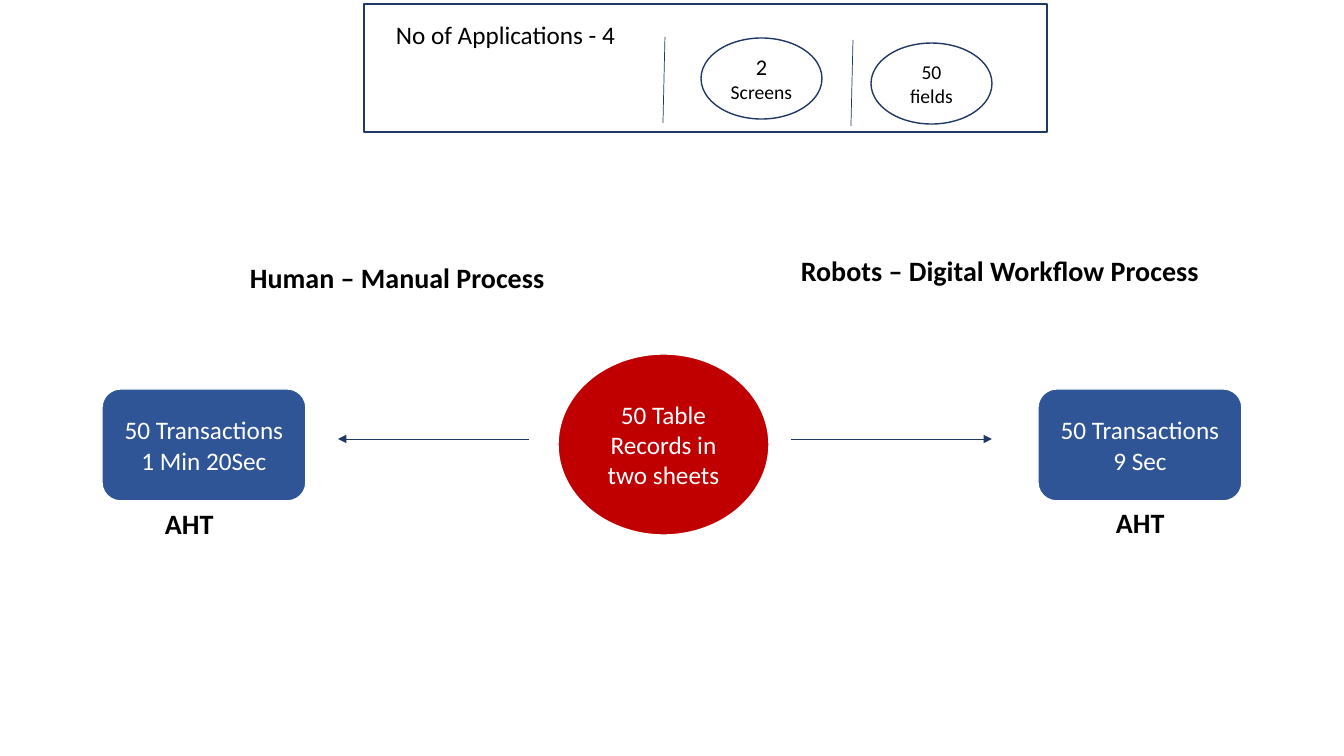
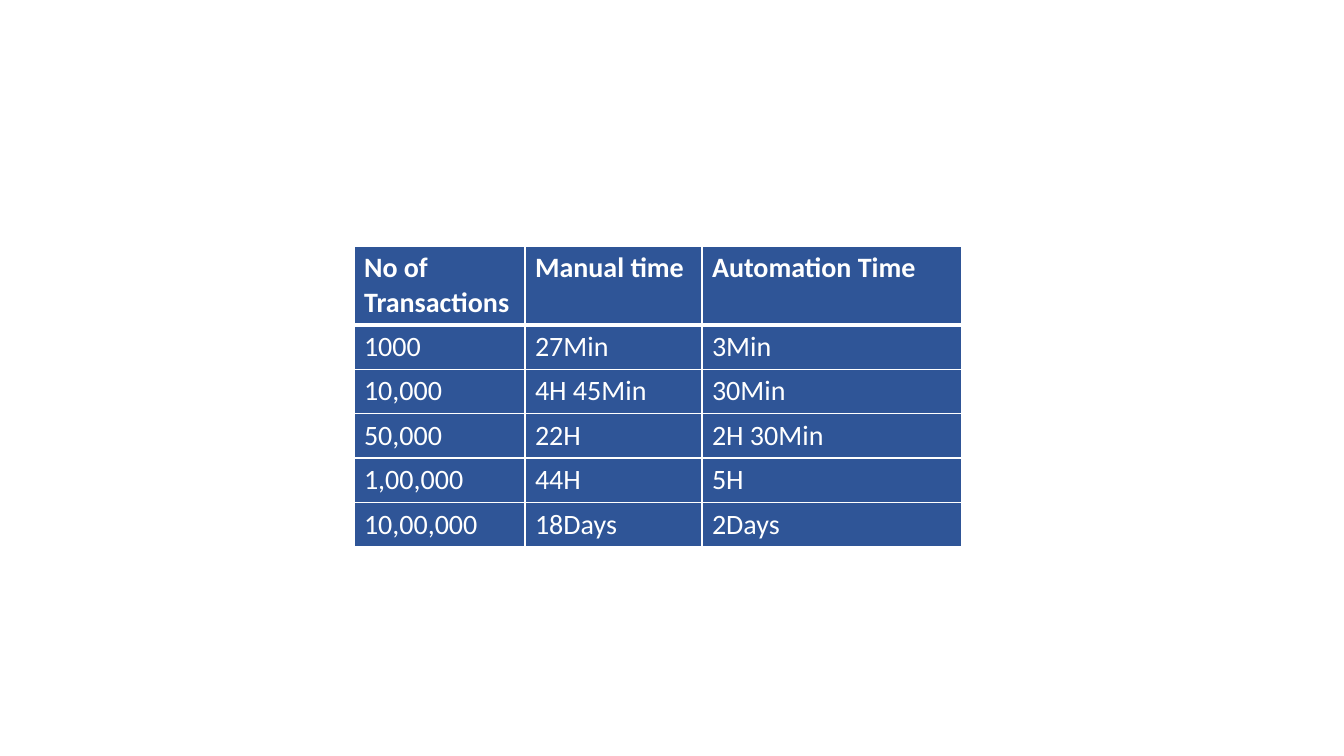
from lxml import etree
from pptx import Presentation
from pptx.dml.color import RGBColor
from pptx.enum.shapes import MSO_CONNECTOR, MSO_SHAPE
from pptx.enum.text import MSO_ANCHOR, PP_ALIGN
from pptx.oxml.ns import qn
from pptx.util import Emu, Pt

OVAL, ROUNDED, RECTANGLE = MSO_SHAPE.OVAL, MSO_SHAPE.ROUNDED_RECTANGLE, MSO_SHAPE.RECTANGLE
STRAIGHT = MSO_CONNECTOR.STRAIGHT
CENTER, MIDDLE = PP_ALIGN.CENTER, MSO_ANCHOR.MIDDLE

FONT = "Calibri"
WHITE, BLACK, NAVY, BLUE, RED = "FFFFFF", "000000", "203864", "2F5597", "C00000"
PIXEL = 914400 / 100.8


def px(*lengths):
    """Turn pixel lengths into a list of EMU lengths."""
    return [Emu(round(length * PIXEL)) for length in lengths]


def write(frame, text, size, color, bold=False, align=None):
    """Fill a text frame and format all of its runs."""
    frame.word_wrap = True
    frame.text = text
    for para in frame.paragraphs:
        para.alignment = align
        for span in para.runs:
            span.font.name = FONT
            span.font.size = Pt(size)
            span.font.bold = bold
            span.font.color.rgb = RGBColor.from_string(color)


deck = Presentation()
deck.slide_width, deck.slide_height = px(1344, 756)
blank = deck.slide_layouts[6]

# Slide 1: manual process against digital workflow
page = deck.slides.add_slide(blank)

shapes = [
    (RECTANGLE, (364, 4, 683, 128), WHITE, NAVY, "", 18, BLACK),
    (OVAL, (558, 354, 211, 181), RED, WHITE, "50 Table Records in two sheets", 18, WHITE),
    (ROUNDED, (1038, 389, 204, 112), BLUE, WHITE, "50 Transactions\v9 Sec", 18, WHITE),
    (ROUNDED, (102, 389, 204, 112), BLUE, WHITE, "50 Transactions\v1 Min 20Sec", 18, WHITE),
    (OVAL, (871, 43, 121, 81), None, NAVY, "50 fields", 14, BLACK),
    (OVAL, (701, 38, 121, 81), None, NAVY, "2 Screens", 14, BLACK),
]
for kind, area, fill, outline, text, size, color in shapes:
    shape = page.shapes.add_shape(kind, *px(*area))
    shape.shadow.inherit = False
    if fill:
        shape.fill.solid()
        shape.fill.fore_color.rgb = RGBColor.from_string(fill)
    else:
        shape.fill.background()
    shape.line.color.rgb = RGBColor.from_string(outline)
    shape.line.width = Pt(1)
    if text:
        shape.text_frame.vertical_anchor = MIDDLE
        write(shape.text_frame, text, size, color, align=CENTER)

# The screen count is larger than its unit
screens = shape.text_frame.paragraphs[0]
count = screens.runs[0]
count.text = "2 "
count.font.size = Pt(16)
unit = screens.add_run()
unit.text = "Screens"
unit.font.name = FONT
unit.font.size = Pt(14)
unit.font.color.rgb = RGBColor.from_string(BLACK)

labels = [
    ((386, 14, 267, 40), "No of Applications - 4", 18, False),
    ((240, 256, 339, 44), "Human – Manual Process", 20, True),
    ((791, 249, 422, 44), "Robots – Digital Workflow Process", 20, True),
    ((155, 502, 105, 44), "AHT", 20, True),
    ((1106, 501, 105, 44), "AHT", 20, True),
]
for area, text, size, bold in labels:
    box = page.shapes.add_textbox(*px(*area))
    write(box.text_frame, text, size, BLACK, bold)

lines = [
    ((665, 37, 663, 123), False),
    ((853, 40, 851, 126), False),
    ((529, 439, 338, 439), True),
    ((791, 439, 992, 439), True),
]
for ends, arrow in lines:
    line = page.shapes.add_connector(STRAIGHT, *px(*ends))
    line.line.color.rgb = RGBColor.from_string(NAVY)
    line.line.width = Pt(0.5)
    if arrow:
        etree.SubElement(line.line._get_or_add_ln(), qn("a:tailEnd"), type="triangle")
    etree.SubElement(line._element.spPr, qn("a:effectLst"))

# Slide 2: time taken by volume
page = deck.slides.add_slide(blank)
rows = [
    ("No of Transactions", "Manual time", "Automation Time"),
    ("1000", "27Min", "3Min"),
    ("10,000", "4H 45Min", "30Min"),
    ("50,000", "22H", "2H 30Min"),
    ("1,00,000", "44H", "5H"),
    ("10,00,000", "18Days", "2Days"),
]
widths = px(171, 177, 260)
heights = px(78, *[44] * 5)
left, top = px(354, 246)
table = page.shapes.add_table(
    len(rows), len(widths), left, top, sum(widths), sum(heights)).table
for column, width in zip(table.columns, widths):
    column.width = width
for r, (values, height) in enumerate(zip(rows, heights)):
    table.rows[r].height = height
    for c, value in enumerate(values):
        cell = table.cell(r, c)
        write(cell.text_frame, value, 20, WHITE, bold=r == 0)
        borders = {"lnL": 1, "lnR": 1, "lnT": 3 if r == 1 else 1, "lnB": 3 if r == 0 else 1}
        for side, points in borders.items():
            border = etree.SubElement(
                cell._tc.get_or_add_tcPr(), qn("a:" + side), w=str(Pt(points)))
            paint = etree.SubElement(border, qn("a:solidFill"))
            etree.SubElement(paint, qn("a:srgbClr"), val=WHITE)
        cell.fill.solid()
        cell.fill.fore_color.rgb = RGBColor.from_string(BLUE)

deck.save("out.pptx")
